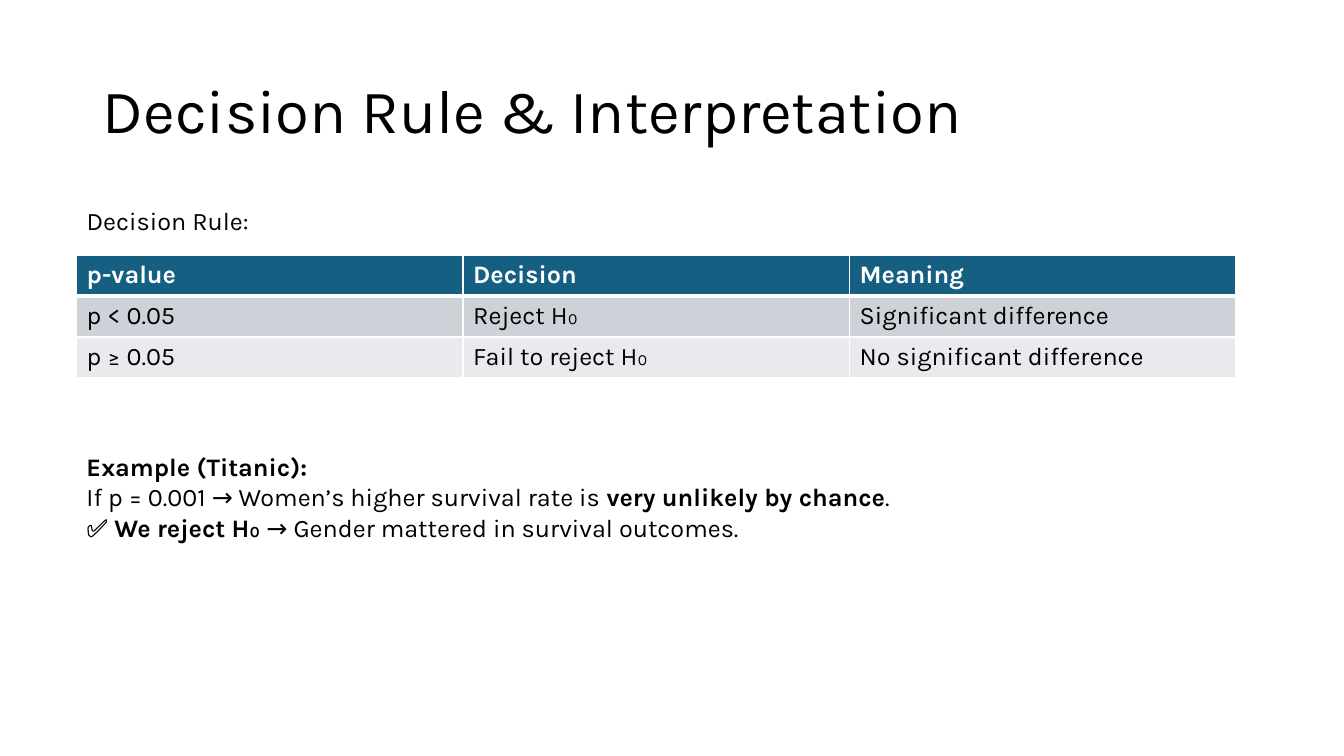
from typing import NamedTuple

from lxml import etree
from pptx import Presentation
from pptx import util as u
from pptx.dml.color import RGBColor
from pptx.enum import text
from pptx.oxml.ns import qn

PX = 9144  # EMU per px, 100 px to the inch
FONT = "Karla"
BLACK, WHITE, TEAL = "000000", "FFFFFF", "156082"


class Box(NamedTuple):
    left: int
    top: int
    width: int
    height: int

    def emu(self) -> list[int]:
        return [u.Emu(value * PX) for value in self]


class Span(NamedTuple):
    words: str
    bold: bool = False


class TextBlock(NamedTuple):
    box: Box
    lines: list[list[Span]]


class TableRow(NamedTuple):
    cells: list[str]
    fill: str
    color: str = BLACK
    bold: bool = False
    top_border: int = 1
    bottom_border: int = 1


SLIDE_SIZE = Box(0, 0, 1333, 750)
TITLE_BOX = Box(92, 40, 1150, 145)
TABLE_BOX = Box(76, 253, 1150, 122)

TEXT_BLOCKS = [
    TextBlock(Box(76, 199, 395, 40), [[Span("Decision Rule:")]]),
    TextBlock(Box(76, 443, 1007, 101), [
        [Span("Example (Titanic):", True)],
        [Span("If p = 0.001 → Women’s higher survival rate is "),
         Span("very unlikely by chance", True), Span(".")],
        [Span("✅ "), Span("We reject H₀", True),
         Span(" → Gender mattered in survival outcomes.")],
    ]),
]

TABLE_ROWS = [
    TableRow(["p-value", "Decision", "Meaning"], TEAL, WHITE, True, bottom_border=3),
    TableRow(["p < 0.05", "Reject H₀", "Significant difference"], "CCD2D8", top_border=3),
    TableRow(["p ≥ 0.05", "Fail to reject H₀", "No significant difference"], "E8EAED"),
]


def rgb(color: str) -> RGBColor:
    return RGBColor.from_string(color)


def write(paragraph, words: str, *, size: int = 18, color: str = BLACK,
          bold: bool = False) -> None:
    run = paragraph.add_run()
    run.text = words
    run.font.name = FONT
    run.font.size = u.Pt(size)
    run.font.bold = bold
    run.font.color.rgb = rgb(color)


def add_title(slide, words: str) -> None:
    title = slide.shapes.title
    title.left, title.top, title.width, title.height = TITLE_BOX.emu()
    frame = title.text_frame
    frame.auto_size = text.MSO_AUTO_SIZE.NONE
    frame.vertical_anchor = text.MSO_ANCHOR.MIDDLE
    paragraph = frame.paragraphs[0]
    paragraph.alignment = text.PP_ALIGN.LEFT
    paragraph.line_spacing = 0.9
    write(paragraph, words, size=44)


def add_text_block(slide, block: TextBlock) -> None:
    frame = slide.shapes.add_textbox(*block.box.emu()).text_frame
    frame.word_wrap = True
    frame.auto_size = text.MSO_AUTO_SIZE.SHAPE_TO_FIT_TEXT
    paragraph = frame.paragraphs[0]
    for index, line in enumerate(block.lines):
        if index:
            paragraph.add_line_break()
        for span in line:
            write(paragraph, span.words, bold=span.bold)


def set_borders(cell, row: TableRow) -> None:
    widths = {"lnL": 1, "lnR": 1, "lnT": row.top_border, "lnB": row.bottom_border}
    properties = cell._tc.get_or_add_tcPr()
    for side, points in widths.items():
        line = etree.SubElement(properties, qn(f"a:{side}"), w=str(u.Pt(points)))
        fill = etree.SubElement(line, qn("a:solidFill"))
        etree.SubElement(fill, qn("a:srgbClr"), val=WHITE)


def add_decision_table(slide, rows: list[TableRow]) -> None:
    table = slide.shapes.add_table(len(rows), len(rows[0].cells), *TABLE_BOX.emu()).table
    for row_index, row in enumerate(rows):
        for column_index, words in enumerate(row.cells):
            cell = table.cell(row_index, column_index)
            cell.vertical_anchor = text.MSO_ANCHOR.MIDDLE
            set_borders(cell, row)
            cell.fill.solid()
            cell.fill.fore_color.rgb = rgb(row.fill)
            write(cell.text_frame.paragraphs[0], words, color=row.color, bold=row.bold)


def main() -> None:
    presentation = Presentation()
    _, _, presentation.slide_width, presentation.slide_height = SLIDE_SIZE.emu()
    slide = presentation.slides.add_slide(presentation.slide_layouts[5])  # title only

    # Title, table, then the text around the table
    add_title(slide, "Decision Rule & Interpretation")
    add_decision_table(slide, TABLE_ROWS)
    for block in TEXT_BLOCKS:
        add_text_block(slide, block)

    presentation.save("out.pptx")


if __name__ == "__main__":
    main()
